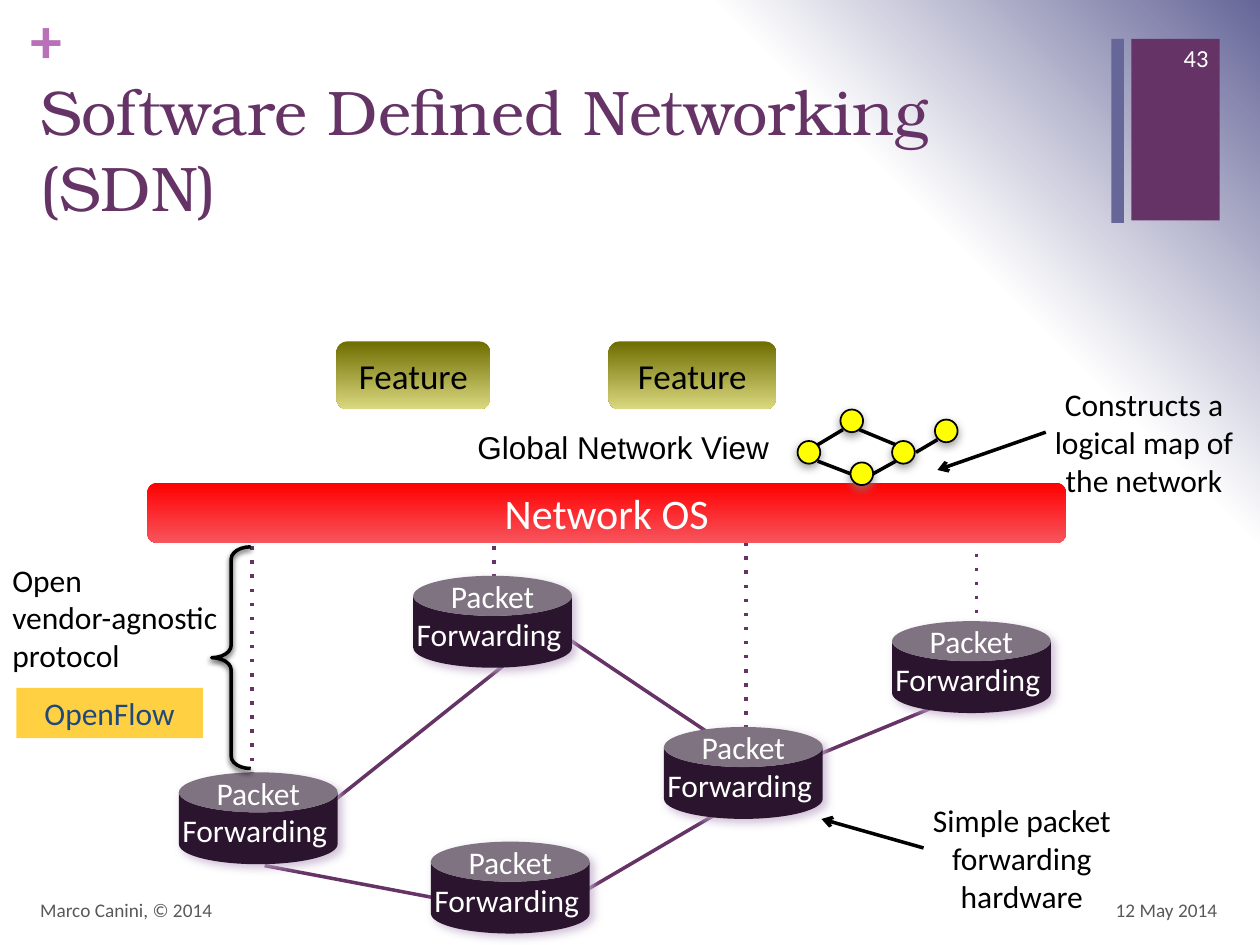
import pptx
import pptx.util
import pptx.dml.color
import pptx.enum.shapes
import pptx.enum.text
import pptx.oxml
import pptx.oxml.ns
from lxml import etree

Inches = pptx.util.Inches
Pt = pptx.util.Pt
qn = pptx.oxml.ns.qn
SHAPE = pptx.enum.shapes.MSO_SHAPE
ALIGN = pptx.enum.text.PP_ALIGN
ANCHOR = pptx.enum.text.MSO_ANCHOR

COLORS = {
    "plum": "663366", "slate": "666699", "orchid": "B870B8", "grey": "595959",
    "white": "FFFFFF", "black": "000000", "switch": "2B142D", "yellow": "FFFF00",
    "amber": "FFD042", "navy": "1F497D", "red": "FF0000", "coral": "F7545C",
    "olive": "6E6D00", "khaki": "DBD980", "switch_shadow": "C3AFCC",
    "node_shadow": "808080",
}


def rgb(name):
    return pptx.dml.color.RGBColor.from_string(COLORS[name])


def paint_background(slide):
    slide.background.fill.solid()
    solid = slide.background._cSld.find(".//" + qn("a:solidFill"))
    stops = "".join(
        f'<a:gs pos="{pos * 1000}"><a:srgbClr val="{COLORS[color]}"/></a:gs>'
        for pos, color in ((0, "white"), (75, "white"), (100, "slate")))
    gradient = pptx.oxml.parse_xml(
        f'<a:gradFill {pptx.oxml.ns.nsdecls("a")} rotWithShape="1"><a:gsLst>{stops}</a:gsLst>'
        '<a:path path="circle"><a:fillToRect t="100000" r="100000"/></a:path></a:gradFill>')
    solid.getparent().replace(solid, gradient)


def write(shape, lines, size, color, align=ALIGN.LEFT, anchor=ANCHOR.TOP,
          font="Calibri", wrap=True, bold=False):
    frame = shape.text_frame
    frame.word_wrap = wrap
    frame.vertical_anchor = anchor
    frame.text = lines
    for paragraph in frame.paragraphs:
        paragraph.alignment = align
        paragraph.font.size = Pt(size)
        paragraph.font.name = font
        paragraph.font.bold = bold
        paragraph.font.color.rgb = rgb(color)
    return frame


def add_text(slide, box, lines, size, color, **style):
    label = slide.shapes.add_textbox(*map(Inches, box))
    return write(label, lines, size, color, **style)


def add_block(slide, kind, box, fill=None, line=None, width=1):
    block = slide.shapes.add_shape(kind, *map(Inches, box))
    block.shadow.inherit = False
    if fill is None:
        block.fill.background()
    elif isinstance(fill, tuple):
        block.fill.gradient()
        block.fill.gradient_angle = 270
        for stop, color, position in zip(block.fill.gradient_stops, fill, (0, 1)):
            stop.color.rgb = rgb(color)
            stop.position = position
    else:
        block.fill.solid()
        block.fill.fore_color.rgb = rgb(fill)
    if line:
        block.line.color.rgb = rgb(line)
        block.line.width = Pt(width)
    else:
        block.line.fill.background()
    return block


def cast_shadow(block, color, alpha, blur, distance, angle):
    effects = block._element.spPr.find(qn("a:effectLst"))
    shadow = etree.SubElement(
        effects, qn("a:outerShdw"), blurRad=str(Pt(blur)), dist=str(Pt(distance)),
        dir=str(angle * 60000), algn="ctr", rotWithShape="0")
    tint = etree.SubElement(shadow, qn("a:srgbClr"), val=COLORS[color])
    etree.SubElement(tint, qn("a:alpha"), val=str(alpha * 1000))


def add_line(slide, start, end, color, dotted=False, arrow=False):
    link = slide.shapes.add_connector(
        pptx.enum.shapes.MSO_CONNECTOR.STRAIGHT, *map(Inches, (*start, *end)))
    link.line.color.rgb = rgb(color)
    link.line.width = Pt(2)
    properties = link._element.spPr
    outline = properties.find(qn("a:ln"))
    if dotted:
        etree.SubElement(outline, qn("a:prstDash"), val="dot")
    if arrow:
        etree.SubElement(outline, qn("a:tailEnd"), type="arrow")
    etree.SubElement(properties, qn("a:effectLst"))


def add_switch(slide, left, top):
    switch = add_block(slide, SHAPE.CAN, (left, top, 1.26, 0.73), "switch")
    switch.adjustments[0] = 0.436
    cast_shadow(switch, "switch_shadow", 75, 5, 3, 45)
    frame = write(switch, "Packet\nForwarding ", 18, "white", align=ALIGN.CENTER,
                  anchor=ANCHOR.BOTTOM, wrap=False)
    frame.margin_bottom = Inches(-0.04)


def add_frame(slide):
    add_block(slide, SHAPE.RECTANGLE, (8.98, 0.31, 0.7, 1.44), "plum")
    add_block(slide, SHAPE.RECTANGLE, (8.82, 0.31, 0.1, 1.46), "slate")
    plus = add_text(slide, (0.24, 0, 0.29, 0.61), "+", 36, "orchid", bold=True)
    plus.margin_left = plus.margin_top = plus.margin_right = plus.margin_bottom = 0
    add_text(slide, (0.22, 0.53, 8.59, 1.22), "Software Defined Networking (SDN)",
             36, "plum", font="TeX Gyre Bonum")
    add_text(slide, (9.08, 0.26, 0.61, 0.4), "43", 14, "white",
             align=ALIGN.RIGHT, anchor=ANCHOR.MIDDLE)
    add_text(slide, (7.43, 7.02, 2.33, 0.4), "12 May 2014", 11, "grey",
             align=ALIGN.RIGHT, anchor=ANCHOR.MIDDLE)
    add_text(slide, (0.22, 7.02, 6.7, 0.4), "Marco Canini, © 2014", 11, "grey",
             anchor=ANCHOR.MIDDLE)


def add_network(slide):
    links = (((2.67, 6.34), (4.2, 5.12)), ((4.39, 4.99), (5.6, 5.8)),
             ((4.49, 7.16), (5.89, 6.34)), ((2.1, 6.87), (3.63, 7.16)),
             ((6.3, 6.07), (7.61, 5.53)))
    for start, end in links:
        add_line(slide, start, end, "plum")
    for x, top, bottom in ((2, 4, 6.25), (3.92, 4, 5.08), (5.92, 4.08, 6), (7.75, 4.17, 5.25)):
        add_line(slide, (x, top), (x, bottom), "plum", dotted=True)
    for left, top in ((1.42, 6.13), (3.42, 6.68), (3.28, 4.57), (5.27, 5.77), (7.08, 4.93)):
        add_switch(slide, left, top)


def add_control_plane(slide):
    olive = ("olive", "khaki")
    for box, name, size, color, fill in (
            ((1.17, 3.83, 7.29, 0.48), "Network OS", 24, "white", ("red", "coral")),
            ((2.67, 2.71, 1.22, 0.54), "Feature", 20, "black", olive),
            ((4.83, 2.71, 1.33, 0.54), "Feature", 20, "black", olive)):
        block = add_block(slide, SHAPE.ROUNDED_RECTANGLE, box, fill)
        write(block, name, size, color, align=ALIGN.CENTER, anchor=ANCHOR.MIDDLE)
    add_text(slide, (3.69, 3.35, 2.56, 0.4), "Global Network View", 18, "black",
             font="Arial", wrap=False)


def add_global_view(slide):
    for left, top in ((6.33, 3.5), (6.67, 3.25), (7.08, 3.5), (7.42, 3.33), (6.75, 3.67)):
        node = add_block(slide, SHAPE.OVAL, (left, top, 0.18, 0.18), "yellow", "black")
        cast_shadow(node, "node_shadow", 75, 5, 2, 90)
    edges = (((6.49, 3.53), (6.69, 3.41)), ((6.75, 3.76), (6.49, 3.66)),
             ((7.11, 3.53), (6.82, 3.41)), ((6.93, 3.76), (7.11, 3.66)),
             ((7.27, 3.59), (7.44, 3.49)))
    for start, end in edges:
        add_line(slide, start, end, "black")


def add_notes_around(slide):
    for corner, note, start, end in (
            ((8.16, 3.01), "Constructs a logical map of the network", (8.3, 3.43), (7.44, 3.73)),
            ((7.19, 6.31), "Simple packet forwarding hardware", (7.33, 6.73), (6.52, 6.5))):
        add_text(slide, (*corner, 1.84, 1.01), note, 18, "black", align=ALIGN.CENTER)
        add_line(slide, start, end, "black", arrow=True)
    brace = add_block(slide, SHAPE.RIGHT_BRACE, (1.68, 4.34, 0.31, 1.76), None, "black", 2)
    brace.adjustments[0] = 0.315
    brace._element.spPr.find(qn("a:xfrm")).set("flipH", "1")
    cast_shadow(brace, "black", 69, 3.1, 1.6, 90)
    protocol = add_block(slide, SHAPE.RECTANGLE, (0.13, 5.46, 1.48, 0.4), "amber")
    write(protocol, "OpenFlow", 18, "navy", align=ALIGN.CENTER)
    add_text(slide, (0, 4.4, 1.84, 1.01), "Open\vvendor-agnostic protocol", 18, "black")


def main():
    deck = pptx.Presentation()
    deck.slide_width, deck.slide_height = Inches(10), Inches(7.5)
    slide = deck.slides.add_slide(deck.slide_layouts[6])
    paint_background(slide)
    add_frame(slide)
    add_network(slide)
    add_control_plane(slide)
    add_global_view(slide)
    add_notes_around(slide)
    deck.save("out.pptx")


if __name__ == "__main__":
    main()
